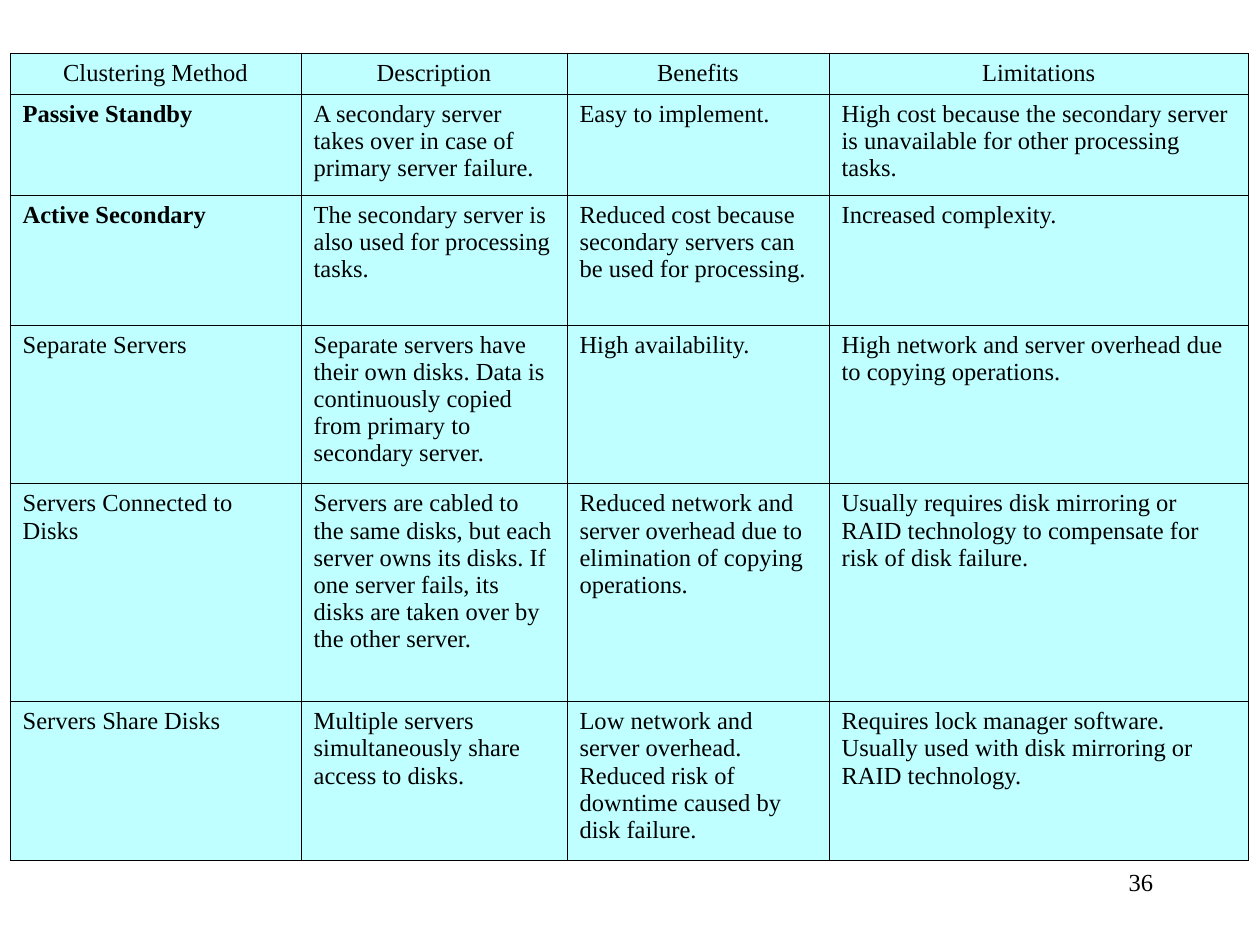
from lxml.etree import SubElement
from pptx import Presentation
from pptx.dml.color import RGBColor
from pptx.enum.text import MSO_ANCHOR, PP_ALIGN
from pptx.oxml import parse_xml
from pptx.oxml.ns import nsdecls, qn
from pptx.util import Inches, Pt

BLACK = RGBColor(0x00, 0x00, 0x00)
PALE_CYAN = RGBColor(0xBF, 0xFF, 0xFF)
FONT = {"name": "Times New Roman", "size": Pt(14)}
BORDER_WIDTH = Pt(0.45)
BLANK_LAYOUT = 6

COLUMN_WIDTHS = [2.31, 2.11, 2.08, 3.33]
ROW_HEIGHTS = [0.33, 0.8, 1.03, 1.26, 1.73, 1.26]
BOLD_METHODS = {"Passive Standby", "Active Secondary"}
METHODS = [
    ["Clustering Method", "Description", "Benefits", "Limitations"],
    ["Passive Standby",
     "A secondary server takes over in case of primary server failure.",
     "Easy to implement.",
     "High cost because the secondary server is unavailable for other "
     "processing tasks."],
    ["Active Secondary",
     "The secondary server is also used for processing tasks.",
     "Reduced cost because secondary servers can be used for processing.",
     "Increased complexity."],
    ["Separate Servers",
     "Separate servers have their own disks. Data is continuously copied "
     "from primary to secondary server.",
     "High availability.",
     "High network and server overhead due to copying operations."],
    ["Servers Connected to Disks",
     "Servers are cabled to the same disks, but each server owns its disks. "
     "If one server fails, its disks are taken over by the other server.",
     "Reduced network and server overhead due to elimination of copying "
     "operations.",
     "Usually requires disk mirroring or RAID technology to compensate for "
     "risk of disk failure."],
    ["Servers Share Disks",
     "Multiple servers simultaneously share access to disks.",
     "Low network and server overhead. Reduced risk of downtime caused by "
     "disk failure.",
     "Requires lock manager software. Usually used with disk mirroring or "
     "RAID technology."],
]


def write_text(frame, text, align, bold=False):
    frame.word_wrap = True
    para = frame.paragraphs[0]
    para.alignment = align
    span = para.add_run()
    span.text = text
    for name, value in {**FONT, "bold": bold}.items():
        setattr(span.font, name, value)
    span.font.color.rgb = BLACK


def add_borders(cell):
    properties = cell._tc.get_or_add_tcPr()
    # Border lines must stand before the fill
    for position, side in enumerate(("lnL", "lnR", "lnT", "lnB")):
        line = parse_xml(f'<a:{side} {nsdecls("a")} w="{BORDER_WIDTH}"/>')
        fill = SubElement(line, qn("a:solidFill"))
        SubElement(fill, qn("a:srgbClr")).set("val", str(BLACK))
        properties.insert(position, line)


def format_cell(cell, text, is_header):
    margins = {"margin_left": Inches(0.1), "margin_right": Inches(0.1),
               "margin_top": Inches(0.05), "margin_bottom": Inches(0.05),
               "vertical_anchor": MSO_ANCHOR.TOP}
    for name, value in margins.items():
        setattr(cell, name, value)
    cell.fill.solid()
    cell.fill.fore_color.rgb = PALE_CYAN
    add_borders(cell)
    align = PP_ALIGN.CENTER if is_header else PP_ALIGN.LEFT
    write_text(cell.text_frame, text, align, text in BOLD_METHODS)


def add_method_table(page):
    table = page.shapes.add_table(
        len(METHODS), len(COLUMN_WIDTHS), Inches(0.08), Inches(0.42),
        Inches(sum(COLUMN_WIDTHS)), Inches(sum(ROW_HEIGHTS))).table
    table.horz_banding = False
    table.first_row = False
    for column, width in zip(table.columns, COLUMN_WIDTHS):
        column.width = Inches(width)
    for row, height, texts in zip(table.rows, ROW_HEIGHTS, METHODS):
        row.height = Inches(height)
        for cell, text in zip(row.cells, texts):
            format_cell(cell, text, texts is METHODS[0])


def add_page_number(page, number):
    box = page.shapes.add_textbox(
        Inches(7.17), Inches(6.83), Inches(2.08), Inches(0.5))
    write_text(box.text_frame, number, PP_ALIGN.RIGHT)


def main():
    deck = Presentation()
    deck.slide_width, deck.slide_height = Inches(10), Inches(7.5)
    page = deck.slides.add_slide(deck.slide_layouts[BLANK_LAYOUT])

    # Comparison of clustering methods
    add_method_table(page)

    # Page number below the table
    add_page_number(page, "36")

    deck.save("out.pptx")


main()
